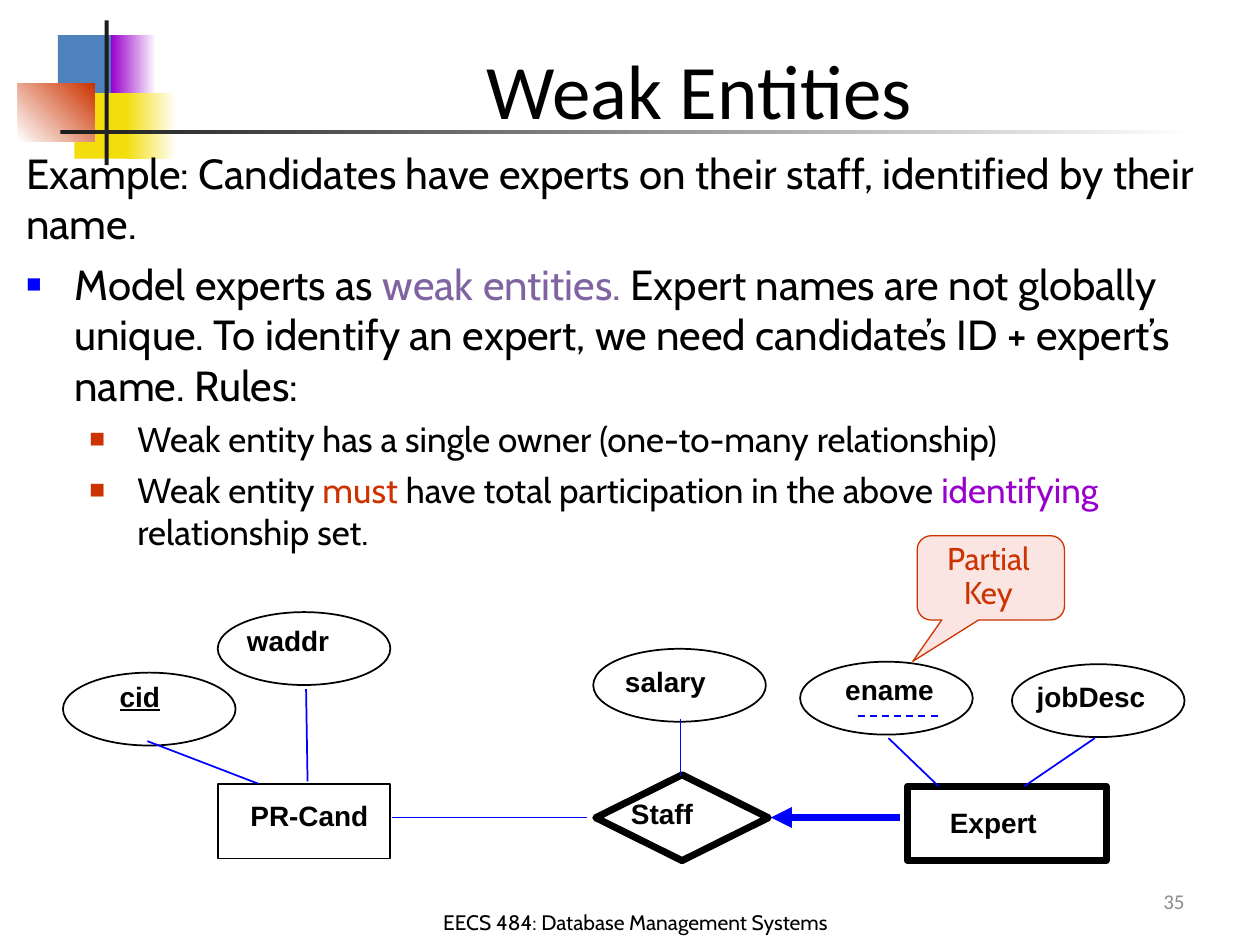
from lxml import etree
from pptx import Presentation
from pptx.dml.color import RGBColor
from pptx.enum import dml, shapes, text
from pptx.oxml.ns import qn
from pptx.util import Cm, Pt

colour = RGBColor.from_string
SHAPE = shapes.MSO_SHAPE

presentation = Presentation()
presentation.slide_width, presentation.slide_height = Cm(25.4), Cm(19.05)
slide = presentation.slides.add_slide(presentation.slide_layouts[1])


def add_shape(kind, box, fill=None, line=None, width=1):
    shape = slide.shapes.add_shape(kind, *map(Cm, box))
    shape.shadow.inherit = False
    if fill:
        shape.fill.solid()
        shape.fill.fore_color.rgb = colour(fill)
    else:
        shape.fill.background()
    if line:
        shape.line.color.rgb = colour(line)
        shape.line.width = Pt(width)
    else:
        shape.line.fill.background()
    return shape


def add_label(words, box, size, font, shade="000000", wrap=True):
    """Add a one-paragraph text box and return its frame."""
    frame = slide.shapes.add_textbox(*map(Cm, box)).text_frame
    frame.word_wrap = wrap
    frame.margin_left = frame.margin_right = Cm(0.1)
    frame.margin_top = frame.margin_bottom = 0
    paragraph = frame.paragraphs[0]
    paragraph.text = words
    paragraph.font.size, paragraph.font.name = Pt(size), font
    paragraph.font.color.rgb = colour(shade)
    return frame


# Title
title = slide.shapes.title
title.left, title.top, title.width, title.height = map(Cm, (3.2, 0.2, 21.64, 3.18))
title.text_frame.text = "Weak Entities"
title.text_frame.vertical_anchor = text.MSO_ANCHOR.MIDDLE
title.text_frame.margin_right = Cm(0.1)
paragraph = title.text_frame.paragraphs[0]
paragraph.alignment = text.PP_ALIGN.CENTER
paragraph.font.size, paragraph.font.name = Pt(44), "Calibri"
paragraph.font.color.rgb = colour("000000")

# Corner decoration: box, colour, end colour of a gradient, angle
decoration = [
    ((1.17, 0.71, 1.22, 1.32), "4F81BD", None, 0),
    ((2.24, 0.71, 0.91, 1.32), "9900CC", "FFFFFF", 0),
    ((1.5, 1.88, 1.17, 1.32), "F3DD0D", None, 0),
    ((2.54, 1.88, 1.02, 1.32), "F3DD0D", "FFFFFF", 0),
    ((0.36, 1.68, 1.55, 1.17), "FFFFFF", "CC3300", 45),
    ((2.11, 0.41, 0.08, 2.92), "1C1C1C", None, 0),
    ((1.22, 2.62, 22.86, 0.08), "1C1C1C", "FFFFFF", 0),
]
for box, start, end, angle in decoration:
    block = add_shape(SHAPE.RECTANGLE, box, start)
    if end:
        block.fill.gradient()
        block.fill.gradient_angle = angle
        for stop, shade in zip(block.fill.gradient_stops, (start, end)):
            stop.color.rgb = colour(shade)

# Footer and slide number
footer = add_label("EECS 484: Database Management Systems",
                   (5.92, 18.06, 13.79, 0.79), 12, "Cabin")
footer.vertical_anchor = text.MSO_ANCHOR.BOTTOM
footer.paragraphs[0].alignment = text.PP_ALIGN.CENTER
number = add_label("35", (18.21, 17.65, 5.77, 1.02), 12, "Calibri", "8C8C8C")
number.vertical_anchor = text.MSO_ANCHOR.MIDDLE
number.paragraphs[0].alignment = text.PP_ALIGN.RIGHT

# Diagram nodes: name, kind, box, line width, label left, top and width
attribute = (3.48, 1.47)
nodes = [
    ("salary", SHAPE.OVAL, (11.96, 13.08, *attribute), 1, (12.5, 13.39, 2.06)),
    ("ename", SHAPE.OVAL, (16.13, 13.34, *attribute), 1, (16.94, 13.56, 2.21)),
    ("jobDesc", SHAPE.OVAL, (20.4, 13.39, *attribute), 1, (20.8, 13.69, 2.62)),
    ("cid", SHAPE.OVAL, (1.27, 13.56, *attribute), 1, (2.31, 13.69, 1.24)),
    ("waddr", SHAPE.OVAL, (4.39, 12.34, *attribute), 1, (4.88, 12.57, 2.08)),
    ("PR-Cand", SHAPE.RECTANGLE, (4.39, 15.8, 3.48, 1.51), 1, (4.95, 16.1, 2.82)),
    ("Staff", SHAPE.DIAMOND, (12.01, 15.62, 3.48, 1.73), 4, (12.62, 16.05, 1.68)),
    ("Expert", SHAPE.RECTANGLE, (18.29, 15.85, 4.01, 1.5), 4, (19.05, 16.23, 2.18)),
]
for name, kind, box, width, label_box in nodes:
    add_shape(kind, box, line="000000", width=width)
    label = add_label(name, (*label_box, 0.89), 16, "Arial", wrap=False)
    label.paragraphs[0].font.bold = True
    if name == "cid":
        label.paragraphs[0].font.underline = True

# Links between nodes; the last two are the partial-key mark and the key arrow
links = [
    (6.17, 13.89, 6.2, 15.75),
    (2.97, 14.94, 5.21, 15.8),
    (13.72, 15.65, 13.72, 14.5),
    (17.91, 14.88, 18.92, 15.85),
    (22.07, 14.88, 20.65, 15.85),
    (11.84, 16.48, 7.9, 16.48),
    (18.9, 14.43, 17.22, 14.43),
    (15.54, 16.48, 18.14, 16.48),
]
connectors = []
for ends in links:
    connector = slide.shapes.add_connector(shapes.MSO_CONNECTOR.STRAIGHT, *map(Cm, ends))
    connector.line.color.rgb = colour("0000FF")
    connector.line.width = Pt(1)
    etree.SubElement(connector._element.spPr, qn("a:effectLst"))
    connectors.append(connector)
partial_key, key_arrow = connectors[-2:]
partial_key.line.dash_style = dml.MSO_LINE.DASH
key_arrow.line.width = Pt(4)
etree.SubElement(key_arrow.line._get_or_add_ln(), qn("a:headEnd"), type="triangle")

# Callout
callout = add_shape(SHAPE.ROUNDED_RECTANGULAR_CALLOUT, (18.49, 10.8, 2.97, 1.7),
                    "F8CDC6", "CC3300", 0.75)
callout.adjustments[0], callout.adjustments[1] = -0.53, 0.99
fill_colour = callout._element.spPr.find(qn("a:solidFill"))[0]
etree.SubElement(fill_colour, qn("a:alpha"), val="50000")
frame = callout.text_frame
frame.vertical_anchor = text.MSO_ANCHOR.TOP
frame.margin_left, frame.margin_right = Cm(0.05), Cm(0.15)
frame.margin_top, frame.margin_bottom = Cm(0.08), 0
frame.text = "Partial\nKey"
for paragraph in frame.paragraphs:
    paragraph.alignment = text.PP_ALIGN.CENTER
    paragraph.line_spacing = 0.9
    paragraph.font.size, paragraph.font.name = Pt(18), "Cabin"
    paragraph.font.color.rgb = colour("CC3300")

# Body: level, left margin, bullet colour and size, space before, size, runs
body_lines = [
    (0, 0.1, None, None, 0, 24,
     [("Example: Candidates have experts on their staff, identified by their name.", "000000")]),
    (0, 1.07, "0000FF", 60, 5.8, 24,
     [("Model experts as ", "000000"), ("weak entities. ", "8064A2"),
      ("Expert names are not globally unique. To identify an expert, we need "
       "candidate’s ID + expert’s name. Rules:", "000000")]),
    (1, 2.34, "CC3300", 75, 4.8, 20,
     [("Weak entity has a single owner (one-to-many relationship)", "000000")]),
    (1, 2.34, "CC3300", 75, 4.8, 20,
     [("Weak entity ", "000000"), ("must", "CC3300"),
      (" have total participation in the above ", "000000"),
      ("identifying ", "9900CC"), ("relationship set.", "000000")]),
]
body = slide.placeholders[1]
slide.shapes._spTree.append(body._element)  # keeps the text above the decoration
body.left, body.top, body.width, body.height = map(Cm, (0.43, 2.97, 24.16, 8.26))
frame = body.text_frame
frame.auto_size = text.MSO_AUTO_SIZE.NONE
frame.vertical_anchor = text.MSO_ANCHOR.TOP
frame.margin_left = frame.margin_top = frame.margin_bottom = 0
frame.margin_right = Cm(0.1)
for index, (level, margin, bullet, percent, before, size, runs) in enumerate(body_lines):
    paragraph = frame.add_paragraph() if index else frame.paragraphs[0]
    paragraph.level = level
    properties = paragraph._p.get_or_add_pPr()
    properties.set("marL", str(Cm(margin)))
    properties.set("indent", str(Cm(-0.97) if bullet else 0))
    if bullet:
        bullet_colour = etree.SubElement(properties, qn("a:buClr"))
        etree.SubElement(bullet_colour, qn("a:srgbClr"), val=bullet)
        etree.SubElement(properties, qn("a:buSzPct"), val=str(percent * 1000))
        etree.SubElement(properties, qn("a:buChar"), char="■")
    else:
        etree.SubElement(properties, qn("a:buNone"))
    paragraph.space_before = Pt(before)
    paragraph.font.size, paragraph.font.name = Pt(size), "Cabin"
    for words, shade in runs:
        run = paragraph.add_run()
        run.text = words
        run.font.color.rgb = colour(shade)

presentation.save("out.pptx")
